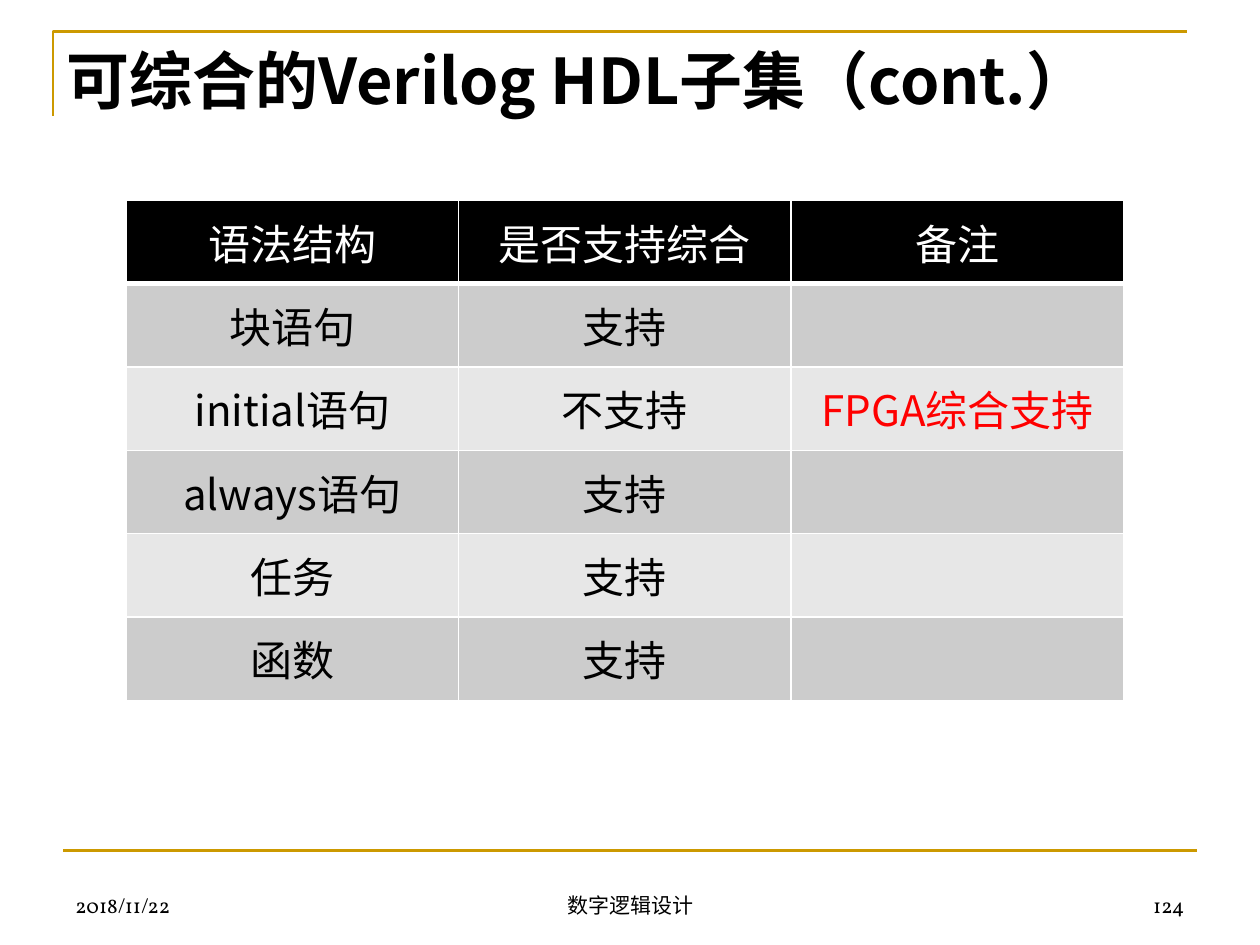
from lxml import etree
from pptx import Presentation
from pptx.dml.color import RGBColor
from pptx.enum.shapes import MSO_CONNECTOR
from pptx.enum.text import MSO_ANCHOR, PP_ALIGN
from pptx.oxml.ns import qn
from pptx.util import Inches, Pt

LEFT, CENTER, RIGHT = PP_ALIGN.LEFT, PP_ALIGN.CENTER, PP_ALIGN.RIGHT
TOP, MIDDLE, BOTTOM = MSO_ANCHOR.TOP, MSO_ANCHOR.MIDDLE, MSO_ANCHOR.BOTTOM
STRAIGHT = MSO_CONNECTOR.STRAIGHT

ROWS = [
    ("语法结构", "是否支持综合", "备注"),
    ("块语句", "支持", ""),
    ("initial语句", "不支持", "FPGA综合支持"),
    ("always语句", "支持", ""),
    ("任务", "支持", ""),
    ("函数", "支持", ""),
]


def rgb(value):
    return RGBColor.from_string(value)


class SlideBuilder:
    """Holds the style and the current slide and adds each kind of element."""

    sans, serif = "Noto Sans CJK SC", "Vollkorn"
    black, white, red, gold = "000000", "FFFFFF", "FF0000", "CC9900"
    bands = ("E7E7E7", "CCCCCC")

    def __init__(self, s):
        self.s = s

    def style(self, p, size, font, color, align, bold=False):
        p.alignment = align
        p.font.size, p.font.bold, p.font.name = Pt(size), bold, font
        p.font.color.rgb = rgb(color)
        props = p._p.get_or_add_pPr().find(qn("a:defRPr"))
        etree.SubElement(props, qn("a:ea"), typeface=self.sans)

    def outline(self, sp):
        sp.line.color.rgb = rgb(self.gold)
        sp.line.width = Pt(1.5)

    def corner(self, x, y, w, h):
        builder = self.s.shapes.build_freeform(Inches(x), Inches(y + h))
        points = [(Inches(x), Inches(y)), (Inches(x + w), Inches(y))]
        builder.add_line_segments(points, close=False)
        sp = builder.convert_to_shape()
        sp.shadow.inherit = False
        sp.fill.background()
        self.outline(sp)

    def rule(self, x1, x2, y):
        ends = [Inches(v) for v in (x1, y, x2, y)]
        sp = self.s.shapes.add_connector(STRAIGHT, *ends)
        self.outline(sp)
        etree.SubElement(sp._element.spPr, qn("a:effectLst"))

    def text(self, text, x, y, w, h, size, font, align=LEFT, anchor=TOP, bold=False):
        sp = self.s.shapes.add_textbox(Inches(x), Inches(y), Inches(w), Inches(h))
        tf = sp.text_frame
        tf.word_wrap, tf.vertical_anchor = True, anchor
        p = tf.paragraphs[0]
        p.text = text
        self.style(p, size, font, self.black, align, bold)

    def borders(self, cell, bottom):
        props = cell._tc.get_or_add_tcPr()
        for i, (side, width) in enumerate(zip("LRTB", (1, 1, 1, bottom))):
            ln = etree.Element(qn(f"a:ln{side}"), w=str(Pt(width)))
            fill = etree.SubElement(ln, qn("a:solidFill"))
            etree.SubElement(fill, qn("a:srgbClr"), val=self.white)
            props.insert(i, ln)

    def table(self, rows, x, y, w, h):
        shape = self.s.shapes.add_table(
            len(rows), len(rows[0]), Inches(x), Inches(y), Inches(w), Inches(h))
        for i, row in enumerate(rows):
            for j, text in enumerate(row):
                cell = shape.table.cell(i, j)
                cell.vertical_anchor = MIDDLE
                cell.fill.solid()
                cell.fill.fore_color.rgb = rgb(self.bands[i % 2] if i else self.black)
                self.borders(cell, 1 if i else 3)
                color = self.white if i == 0 else self.red if j == 2 else self.black
                p = cell.text_frame.paragraphs[0]
                p.text = text
                self.style(p, 24, self.sans, color, CENTER)


def main():
    prs = Presentation()
    prs.slide_width, prs.slide_height = Inches(10), Inches(7.5)
    b = SlideBuilder(prs.slides.add_slide(prs.slide_layouts[6]))
    b.corner(0.42, 0.25, 9, 0.67)
    b.rule(0.5, 9.5, 6.75)
    for text, x, w, align in [
        ("2018/11/22", 0.5, 2.33, LEFT),
        ("数字逻辑设计", 3.42, 3.17, CENTER),
        ("124", 7.17, 2.33, RIGHT),
    ]:
        b.text(text, x, 6.83, w, 0.5, 12, b.serif, align, BOTTOM)
    b.text("可综合的Verilog HDL子集（cont.）", 0.43, 0.28, 10, 0.71, 36, b.sans, bold=True)
    b.table(ROWS, 1, 1.59, 7.92, 3.97)
    prs.save("out.pptx")


if __name__ == "__main__":
    main()
